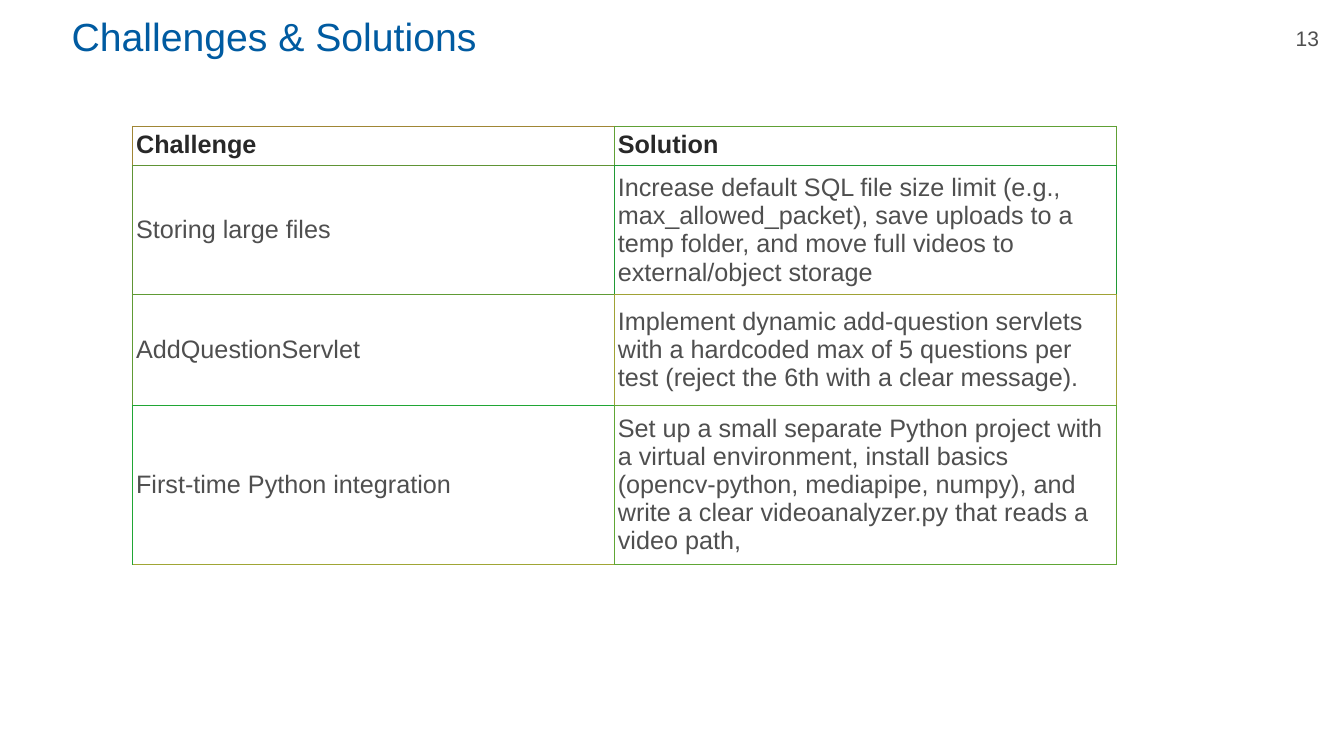
from pptx import Presentation
from pptx.dml.color import RGBColor as Rgb
from pptx.enum.text import MSO_ANCHOR as Anchor, PP_ALIGN as Align
from pptx.oxml import parse_xml
from pptx.oxml.ns import nsdecls
from pptx.util import Cm, Pt

COLORS = {"title": "005BA1", "head": "282828", "body": "4F4F4F"}
FORMATS = {
    "title": {"size": Pt(28), "bold": False},
    "page": {"size": Pt(15), "bold": False},
    "head": {"size": Pt(18), "bold": True},
    "body": {"size": Pt(18), "bold": False},
}
ROWS = [
    ("Challenge", "Solution"),
    ("Storing large files",
     "Increase default SQL file size limit (e.g., max_allowed_packet), save "
     "uploads to a temp folder, and move full videos to external/object storage"),
    ("AddQuestionServlet",
     "Implement dynamic add-question servlets with a hardcoded max of 5 "
     "questions per test (reject the 6th with a clear message)."),
    ("First-time Python integration",
     "Set up a small separate Python project with a virtual environment, "
     "install basics (opencv-python, mediapipe, numpy), and write a clear "
     "videoanalyzer.py that reads a video path,"),
]
# Left and top edge color of each cell; the last row closes the grid below.
EDGES = [
    ("A08635", "60A035"),
    ("609435", "209935"),
    ("609B35", "A0A235"),
    ("20A635", "60A635"),
    ("A0A635", "60A635"),
]
WIDTHS = (12.14, 12.65)
HEIGHTS = (0.99, 2.79, 2.79, 2.13)


def write(frame, text, kind, color, align=Align.LEFT):
    frame.text = text
    par = frame.paragraphs[0]
    par.alignment = align
    font = par.runs[0].font
    font.name = "Arial"
    font.color.rgb = Rgb.from_string(COLORS[color])
    for name, value in FORMATS[kind].items():
        setattr(font, name, value)


def add_title(slide, left, top, width, height):
    title = slide.shapes.title
    title.left, title.top = Cm(left), Cm(top)
    title.width, title.height = Cm(width), Cm(height)
    title.text_frame.vertical_anchor = Anchor.MIDDLE
    write(title.text_frame, "Challenges & Solutions", "title", "title")


def add_page(slide, left, top, width, height):
    box = slide.shapes.add_textbox(Cm(left), Cm(top), Cm(width), Cm(height))
    box.text_frame.word_wrap = True
    write(box.text_frame, "13", "page", "body", Align.CENTER)


def set_edges(cell, row, col):
    """Draw the cell's edges, sharing colors with the cells to its right and below."""
    own = EDGES[row][col]
    edges = {"L": own, "R": EDGES[row][-1], "T": own, "B": EDGES[row + 1][col]}
    props = cell._tc.get_or_add_tcPr()
    for side, color in edges.items():
        props.append(parse_xml(
            f'<a:ln{side} {nsdecls("a")} w="{Pt(0.5)}"><a:solidFill>'
            f'<a:srgbClr val="{color}"/></a:solidFill></a:ln{side}>'))


def add_grid(slide, left, top):
    frame = slide.shapes.add_table(
        len(ROWS), len(WIDTHS), Cm(left), Cm(top),
        Cm(sum(WIDTHS)), Cm(sum(HEIGHTS)))
    table = frame.table
    table.first_row = table.horz_banding = False
    for col, width in zip(table.columns, WIDTHS):
        col.width = Cm(width)
    for row, height in zip(table.rows, HEIGHTS):
        row.height = Cm(height)
    for r, texts in enumerate(ROWS):
        kind = "body" if r else "head"
        for c, text in enumerate(texts):
            cell = table.cell(r, c)
            set_edges(cell, r, c)
            cell.fill.background()
            for side in ("left", "right", "top", "bottom"):
                setattr(cell, f"margin_{side}", Cm(0.1))
            cell.vertical_anchor = Anchor.MIDDLE if r else Anchor.TOP
            write(cell.text_frame, text, kind, kind)


def main():
    deck = Presentation()
    deck.slide_width, deck.slide_height = Cm(33.87), Cm(19.05)
    slide = deck.slides.add_slide(deck.slide_layouts[5])
    add_page(slide, 32.03, 0.51, 1.83, 0.89)
    add_title(slide, 1.55, 0.03, 27.66, 1.73)
    add_grid(slide, 3.33, 3.18)
    deck.save("out.pptx")


if __name__ == "__main__":
    main()
